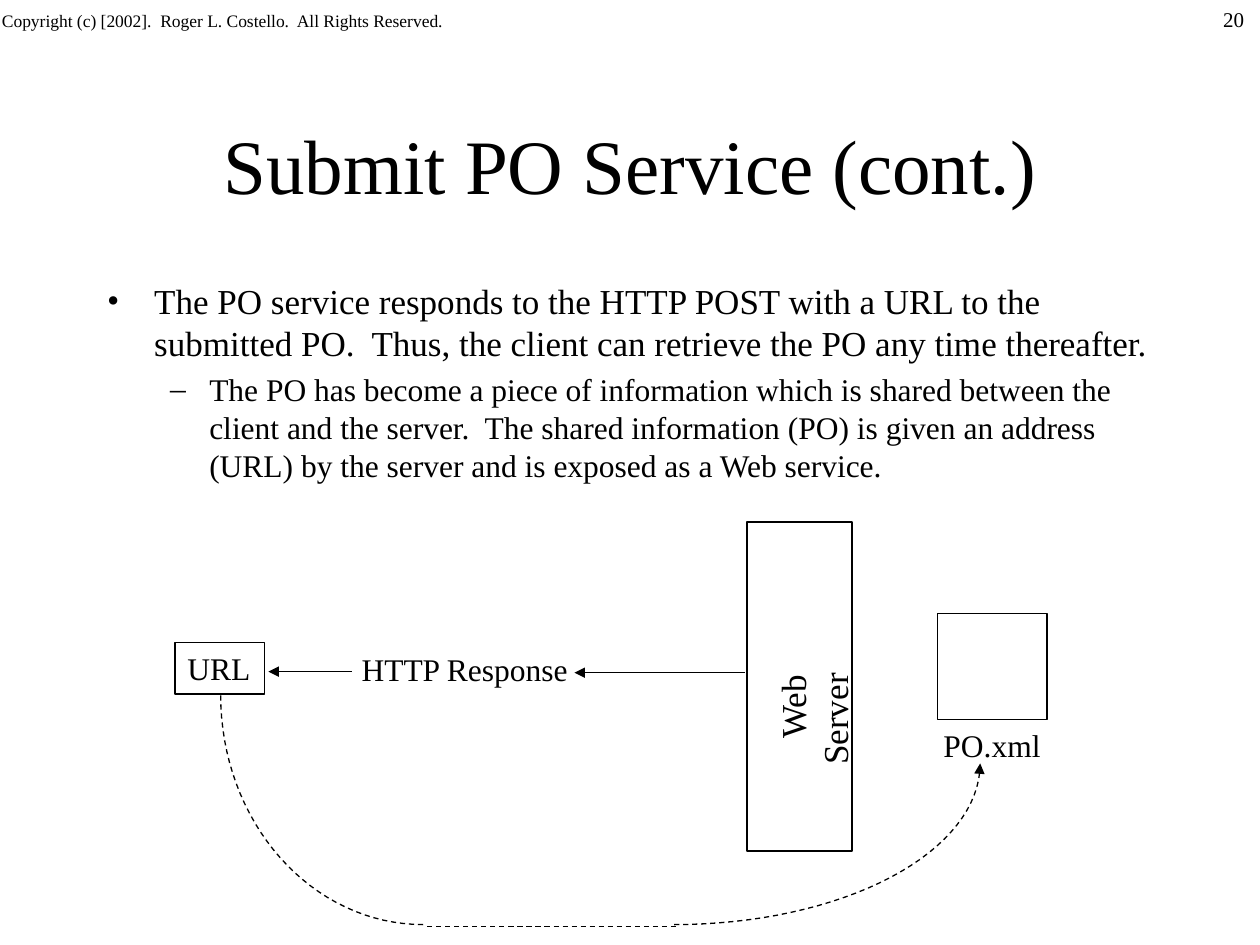
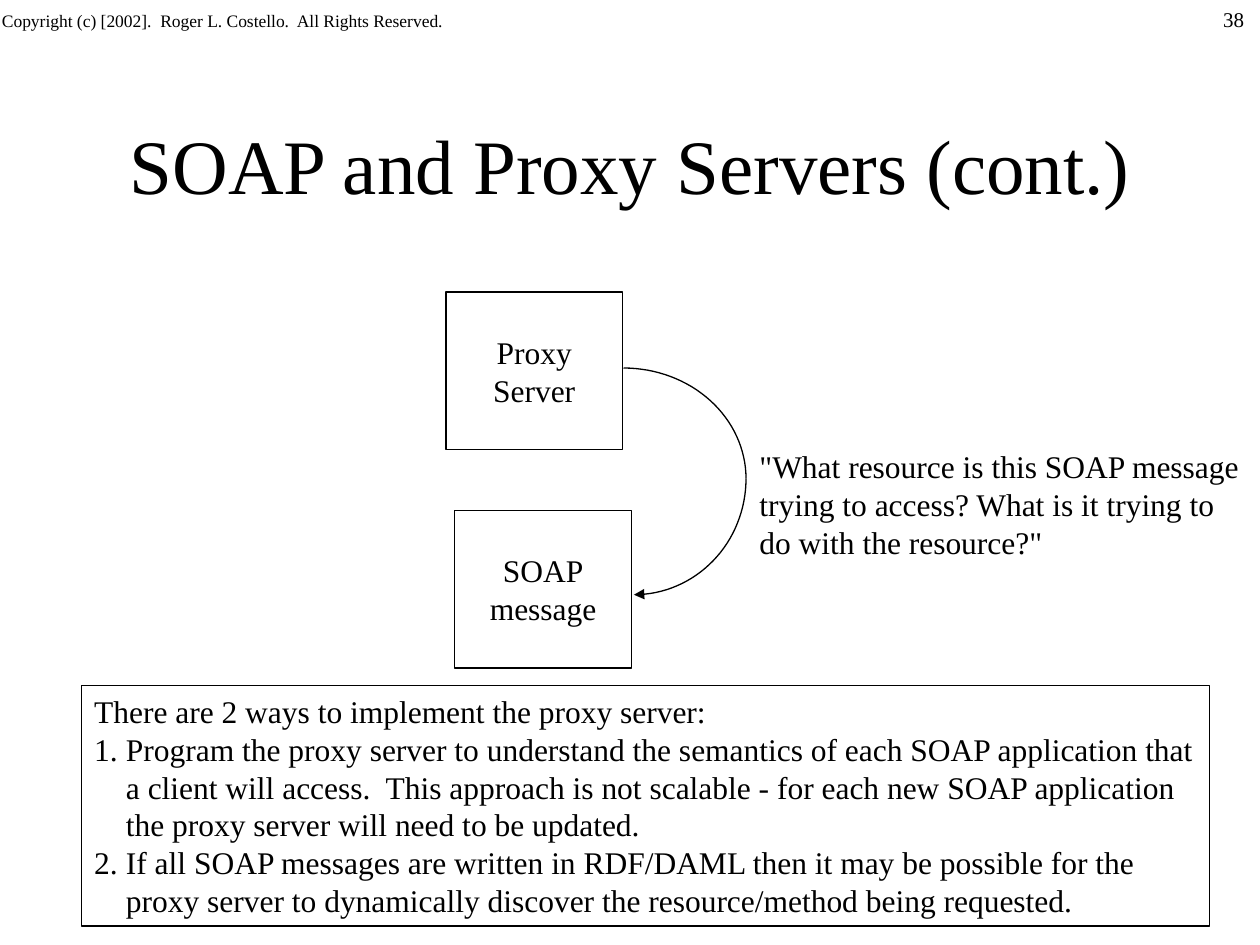
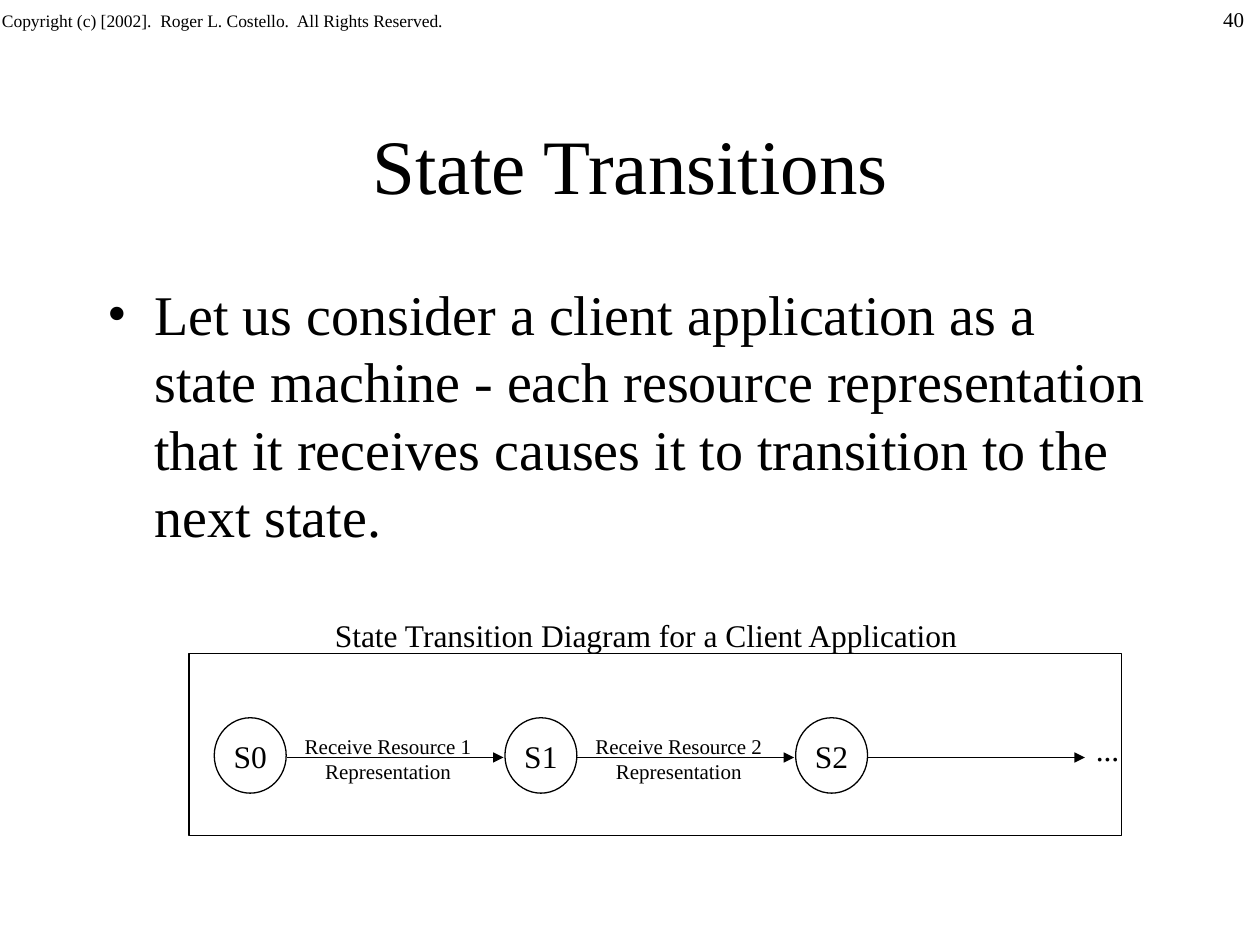
from dataclasses import dataclass
from math import cos, pi, sin

from lxml import etree
from pptx import Presentation
from pptx.dml.color import RGBColor
from pptx.enum.dml import MSO_LINE
from pptx.enum.shapes import MSO_CONNECTOR, MSO_SHAPE
from pptx.enum.text import MSO_ANCHOR, MSO_AUTO_SIZE, PP_ALIGN
from pptx.oxml.ns import qn
from pptx.util import Cm, Pt

RECT, OVAL = MSO_SHAPE.RECTANGLE, MSO_SHAPE.OVAL
LEFT, MID = PP_ALIGN.LEFT, PP_ALIGN.CENTER
TOP, CORE = MSO_ANCHOR.TOP, MSO_ANCHOR.MIDDLE
STRAIGHT, DASH = MSO_CONNECTOR.STRAIGHT, MSO_LINE.DASH
FIXED = MSO_AUTO_SIZE.NONE
NOTICE = "Copyright (c) [2002].  Roger L. Costello.  All Rights Reserved."


@dataclass(frozen=True)
class Theme:
    font: str = "Times New Roman"
    ink: RGBColor = RGBColor(0, 0, 0)
    paper: RGBColor = RGBColor(255, 255, 255)
    title: int = 44
    large: int = 32
    body: int = 20
    text: int = 18
    small: int = 12
    tiny: int = 10
    thin: float = 0.75
    pad: tuple = (0.25, 0.13)


class Deck:
    def __init__(self, theme):
        self.theme = theme
        self.show = Presentation()
        self.show.slide_width, self.show.slide_height = Cm(25.4), Cm(19.05)
        self.slide = None

    # Slide frame: title, notice and page number
    def page(self, title, number):
        self.slide = self.show.slides.add_slide(self.show.slide_layouts[5])
        head = self.slide.shapes.title
        head.left, head.top, head.width, head.height = map(Cm, (1.91, 1.7, 21.59, 3.18))
        self.letter(head, title, self.theme.title, MID, CORE, wrap=True)
        self.label(NOTICE, (0, 0, 9.5, 0.84), self.theme.tiny, anchor=CORE, pad=(0.04, 0))
        self.label(str(number), (24.41, 0, 0.99, 0.76), self.theme.small)

    # Text
    def letter(self, shape, text, size, align=LEFT, anchor=TOP, wrap=False, pad=None):
        frame = shape.text_frame
        frame.text = text
        frame.auto_size, frame.word_wrap = FIXED, wrap
        frame.vertical_anchor = anchor
        side, edge = map(Cm, pad or self.theme.pad)
        frame.margin_left = frame.margin_right = side
        frame.margin_top = frame.margin_bottom = edge
        for para in frame.paragraphs:
            para.alignment = align
            self.style(para, size)

    def style(self, para, size):
        for run in para.runs:
            run.font.name, run.font.size = self.theme.font, Pt(size)
            run.font.color.rgb = self.theme.ink

    def label(self, text, area, size=None, **look):
        box = self.slide.shapes.add_textbox(*map(Cm, area))
        self.letter(box, text, size or self.theme.text, **look)
        return box

    def indent(self, para, left, first):
        props = para._p.get_or_add_pPr()
        props.set("marL", str(Cm(left)))
        props.set("indent", str(Cm(first)))
        return props

    def bullet(self, para, left, hang, tag, key, value):
        props = self.indent(para, left, -hang)
        etree.SubElement(props, qn("a:buFont")).set("typeface", self.theme.font)
        etree.SubElement(props, qn(tag)).set(key, value)

    def points(self, area, items):
        box = self.label("\n".join(text for text, *_ in items), area, wrap=True)
        levels = ((0.95, 0.95, "•"), (2.06, 0.79, "–"))
        for spot, (para, (_, level, size)) in enumerate(zip(box.text_frame.paragraphs, items)):
            left, hang, sign = levels[level]
            para.level = level
            self.bullet(para, left, hang, "a:buChar", "char", sign)
            self.style(para, size)
            if spot:
                para.space_before = Pt(size * 0.2)

    # Outlines
    def stroke(self, shape, dash=False, arrow=False, width=None):
        line = shape.line
        line.color.rgb, line.width = self.theme.ink, Pt(width or self.theme.thin)
        if dash:
            line.dash_style = DASH
        if arrow:
            edge = shape._element.spPr.find(qn("a:ln"))
            etree.SubElement(edge, qn("a:tailEnd")).set("type", "triangle")

    def block(self, area, text="", kind=RECT, width=None, filled=True, **look):
        shape = self.slide.shapes.add_shape(kind, *map(Cm, area))
        shape.shadow.inherit = False
        if filled:
            shape.fill.solid()
            shape.fill.fore_color.rgb = self.theme.paper
        else:
            shape.fill.background()
        self.stroke(shape, width=width)
        if text:
            self.letter(shape, text, self.theme.text, **{"align": MID, "anchor": CORE, **look})
        return shape

    def line(self, start, end, **look):
        link = self.slide.shapes.add_connector(STRAIGHT, *map(Cm, (*start, *end)))
        self.stroke(link, **look)
        etree.SubElement(link._element.spPr, qn("a:effectLst"))

    def arc(self, start, end, level, **look):
        """Quarter ellipse that leaves its start level or upright."""
        wide, high = end[0] - start[0], end[1] - start[1]
        steps = 32
        spots = []
        for step in range(1, steps + 1):
            angle = step / steps * pi / 2
            across, down = sin(angle), 1 - cos(angle)
            if not level:
                across, down = down, across
            spots.append((Cm(start[0] + wide * across), Cm(start[1] + high * down)))
        pen = self.slide.shapes.build_freeform(*map(Cm, start))
        pen.add_line_segments(spots, close=False)
        curve = pen.convert_to_shape()
        curve.shadow.inherit = False
        curve.fill.background()
        self.stroke(curve, **look)


def submit(deck):
    theme = deck.theme
    deck.page("Submit PO Service (cont.)", 20)
    deck.points((1.91, 5.51, 21.59, 4.06), [
        ("The PO service responds to the HTTP POST with a URL to the submitted PO.  "
         "Thus, the client can retrieve the PO any time thereafter.", 0, theme.body),
        ("The PO has become a piece of information which is shared between the client "
         "and the server.  The shared information (PO) is given an address (URL) by "
         "the server and is exposed as a Web service.", 1, theme.text),
    ])

    # Server and stored order
    deck.block((15.06, 10.52, 2.11, 6.63), width=1)
    server = deck.label("Web Server", (15.09, 13.33, 2.54, 1.63), theme.body,
                        wrap=True, pad=(0, 0))
    server.rotation = 270
    deck.indent(server.text_frame.paragraphs[0], 0, 0.53)
    deck.block((18.9, 12.37, 2.21, 2.13))
    deck.label("PO.xml", (18.77, 14.5, 2.46, 1.02))

    # Response
    deck.label("HTTP Response", (7.04, 12.98, 4.7, 1.02))
    deck.line((15.01, 13.56), (11.58, 13.56), arrow=True)
    deck.line((7.09, 13.54), (5.41, 13.54), arrow=True)
    deck.block((3.53, 12.95, 1.8, 1.04), "URL", filled=False, align=LEFT, anchor=TOP)

    # Way from the URL to the order
    deck.arc((4.45, 14.02), (8.53, 18.64), level=False, dash=True)
    deck.line((8.61, 18.67), (13.67, 18.67), dash=True)
    deck.arc((13.59, 18.64), (19.76, 15.39), level=True, dash=True, arrow=True)


def proxy(deck):
    deck.page("SOAP and Proxy Servers (cont.)", 38)
    deck.block((8.99, 5.89, 3.56, 3.18), "Proxy\nServer")
    deck.block((9.17, 10.29, 3.56, 3.18), "SOAP\nmessage")
    deck.arc((12.57, 7.42), (15.04, 9.65), level=True)
    deck.arc((15.04, 9.65), (12.78, 11.99), level=False, arrow=True)
    deck.label('"What resource is this SOAP message trying to access? '
               'What is it trying to do with the resource?"',
               (15.06, 8.89, 10.29, 2.54), wrap=True)

    # Numbered ways
    ways = deck.block(
        (1.65, 13.82, 22.73, 4.85),
        "There are 2 ways to implement the proxy server:\n"
        "Program the proxy server to understand the semantics of each SOAP application "
        "that a client will access.  This approach is not scalable - for each new SOAP "
        "application the proxy server will need to be updated.\n"
        "If all SOAP messages are written in RDF/DAML then it may be possible for the "
        "proxy server to dynamically discover the resource/method being requested.",
        filled=False, align=LEFT, anchor=TOP, wrap=True)
    for para in ways.text_frame.paragraphs[1:]:
        deck.bullet(para, 0.64, 0.64, "a:buAutoNum", "type", "arabicPeriod")


def states(deck):
    theme = deck.theme
    deck.page("State Transitions", 40)
    deck.points((1.91, 5.51, 21.59, 5.82), [
        ("Let us consider a client application as a state machine - each resource "
         "representation that it receives causes it to transition to the next state.",
         0, theme.large),
    ])

    # Diagram
    deck.block((3.81, 13.18, 18.8, 3.66))
    deck.label("State Transition Diagram for a Client Application", (6.5, 12.29, 13.13, 1.02))
    for state in range(3):
        left = 4.32 + 5.86 * state
        deck.block((left, 14.47, 1.45, 1.52), f"S{state}", OVAL)
        deck.line((left + 1.46, 15.27), (left + 5.83, 15.27), arrow=True)
        if state < 2:
            deck.label(f"Receive Resource {state + 1}\nRepresentation",
                       (left + 1.56, 14.65, 3.89, 1.27), theme.small, align=MID)
    deck.label("...", (21.84, 14.58, 0.99, 1.02))


def main():
    deck = Deck(Theme())
    for build in (submit, proxy, states):
        build(deck)
    deck.show.save("out.pptx")


if __name__ == "__main__":
    main()
